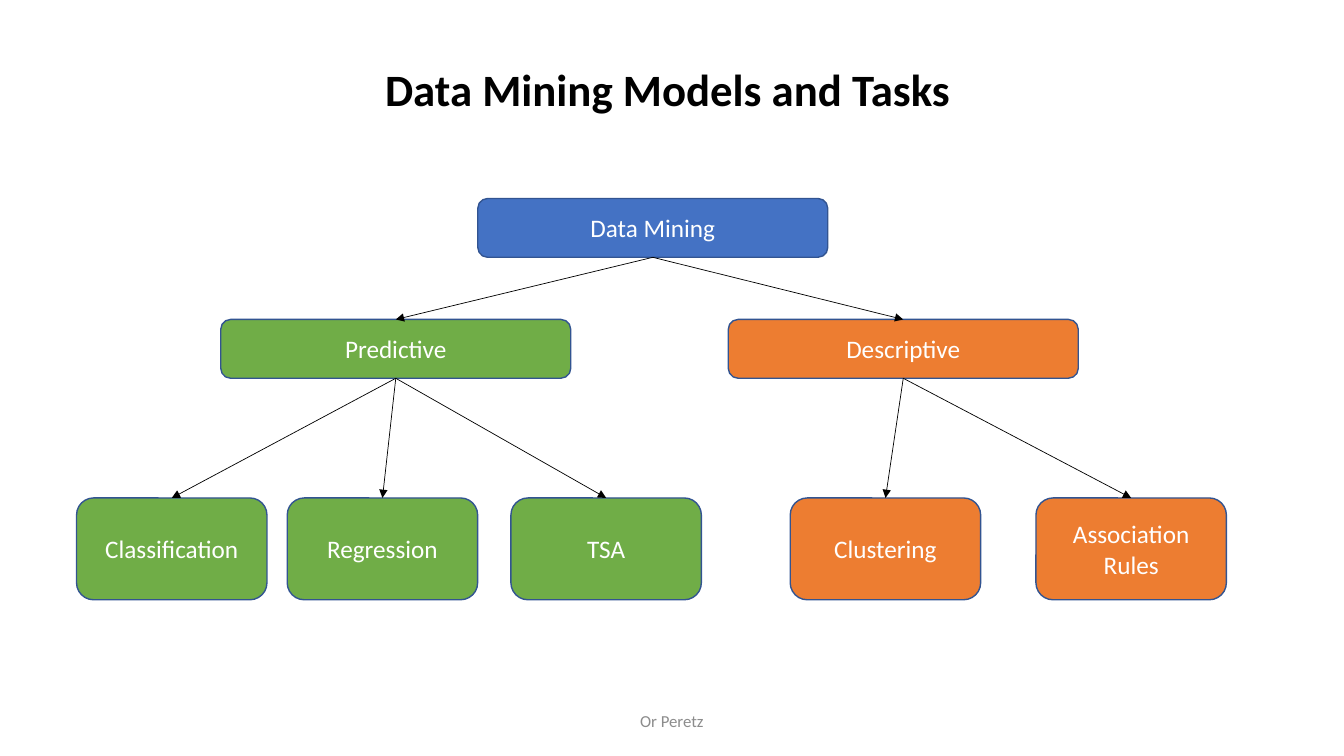
from pptx import Presentation
from pptx.dml.color import RGBColor
from pptx.enum.shapes import MSO_CONNECTOR, MSO_SHAPE
from pptx.enum.text import MSO_ANCHOR, PP_ALIGN
from pptx.oxml.ns import qn
from pptx.util import Pt
from lxml.etree import SubElement

COLORS = {
    "root": "4472C4", "predictive": "70AD47", "descriptive": "ED7D31",
    "outline": "325491", "arrow": "000000", "title": "000000",
    "label": "FFFFFF", "footer": "8C8C8C",
}
BRANCH_SIZE = (250, 42)
LEAF_SIZE = (136, 72.7)
BRANCH_TOP, LEAF_TOP = 86.4, 213.9

# Lefts are measured from the left edge of the tree.
BRANCHES = [
    ("Predictive", "predictive", 103,
     [("Classification", 0), ("Regression", 150.5), ("TSA", 310.3)]),
    ("Descriptive", "descriptive", 465.5,
     [("Clustering", 509.8), ("Association\vRules", 685.3)]),
]


def rgb(name):
    return RGBColor.from_string(COLORS[name])


def write(sp, text, size=18, color="label", bold=False, spacing=None):
    tf = sp.text_frame
    tf.word_wrap = True
    tf.vertical_anchor = MSO_ANCHOR.MIDDLE
    p = tf.paragraphs[0]
    p.text = text
    p.alignment = PP_ALIGN.CENTER
    p.line_spacing = spacing
    for r in p.runs:
        r.font.name = "Calibri"
        r.font.size = Pt(size)
        r.font.bold = bold
        r.font.color.rgb = rgb(color)


def add_node(slide, text, fill, left, top, size):
    width, height = size
    sp = slide.shapes.add_shape(MSO_SHAPE.ROUNDED_RECTANGLE,
                                Pt(left), Pt(top), Pt(width), Pt(height))
    sp.shadow.inherit = False
    sp.fill.solid()
    sp.fill.fore_color.rgb = rgb(fill)
    sp.line.color.rgb = rgb("outline")
    sp.line.width = Pt(1)
    write(sp, text)
    return sp


def add_arrow(slide, parent, child):
    """Join the bottom of the parent to the top of the child."""
    line = slide.shapes.add_connector(MSO_CONNECTOR.STRAIGHT, 0, 0, 0, 0)
    line.begin_connect(parent, 2)
    line.end_connect(child, 0)
    line.line.color.rgb = rgb("arrow")
    line.line.width = Pt(0.5)
    SubElement(line.line._get_or_add_ln(), qn("a:tailEnd"), type="triangle")
    SubElement(line._element.spPr, qn("a:effectLst"))


def add_title(slide, left, top, width, height):
    title = slide.shapes.title
    title.left, title.top = Pt(left), Pt(top)
    title.width, title.height = Pt(width), Pt(height)
    write(title, "Data Mining Models and Tasks", size=32, color="title",
          bold=True, spacing=0.9)


def add_tree(slide, left, top):
    root = add_node(slide, "Data Mining", "root", left + 286.6, top, BRANCH_SIZE)
    for name, color, branch_left, leaves in BRANCHES:
        branch = add_node(slide, name, color, left + branch_left,
                          top + BRANCH_TOP, BRANCH_SIZE)
        add_arrow(slide, root, branch)
        for leaf_name, leaf_left in leaves:
            leaf = add_node(slide, leaf_name, color, left + leaf_left,
                            top + LEAF_TOP, LEAF_SIZE)
            add_arrow(slide, branch, leaf)


def add_footer(slide, left, top, width, height):
    sp = slide.shapes.add_textbox(Pt(left), Pt(top), Pt(width), Pt(height))
    write(sp, "Or Peretz", size=12, color="footer")


def main():
    prs = Presentation()
    prs.slide_width, prs.slide_height = Pt(960), Pt(540)
    slide = prs.slides.add_slide(prs.slide_layouts[5])
    add_title(slide, 162, 18, 630, 96)
    add_tree(slide, 54.7, 141.8)
    add_footer(slide, 318, 500.5, 324, 28.8)
    prs.save("out.pptx")


if __name__ == "__main__":
    main()
